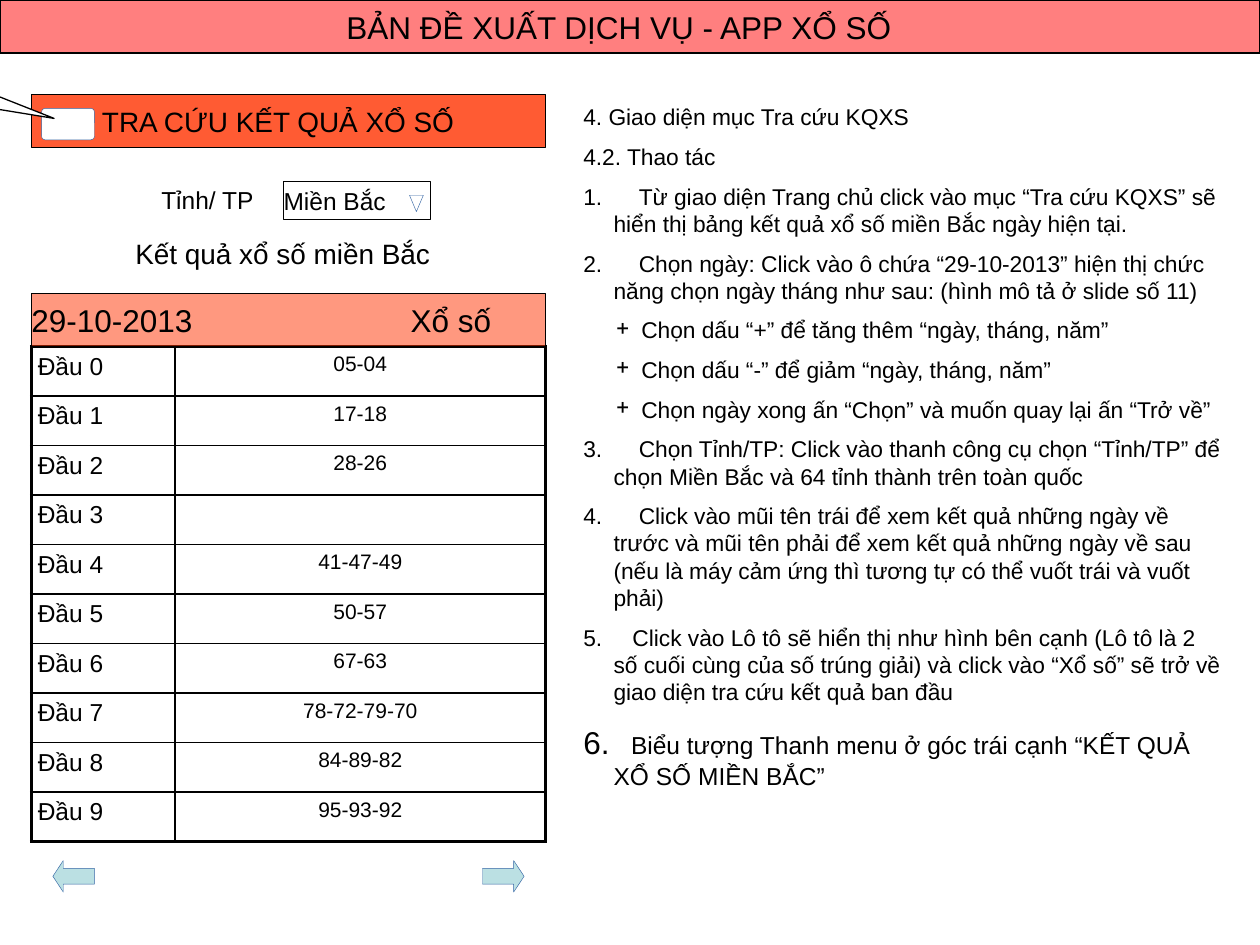
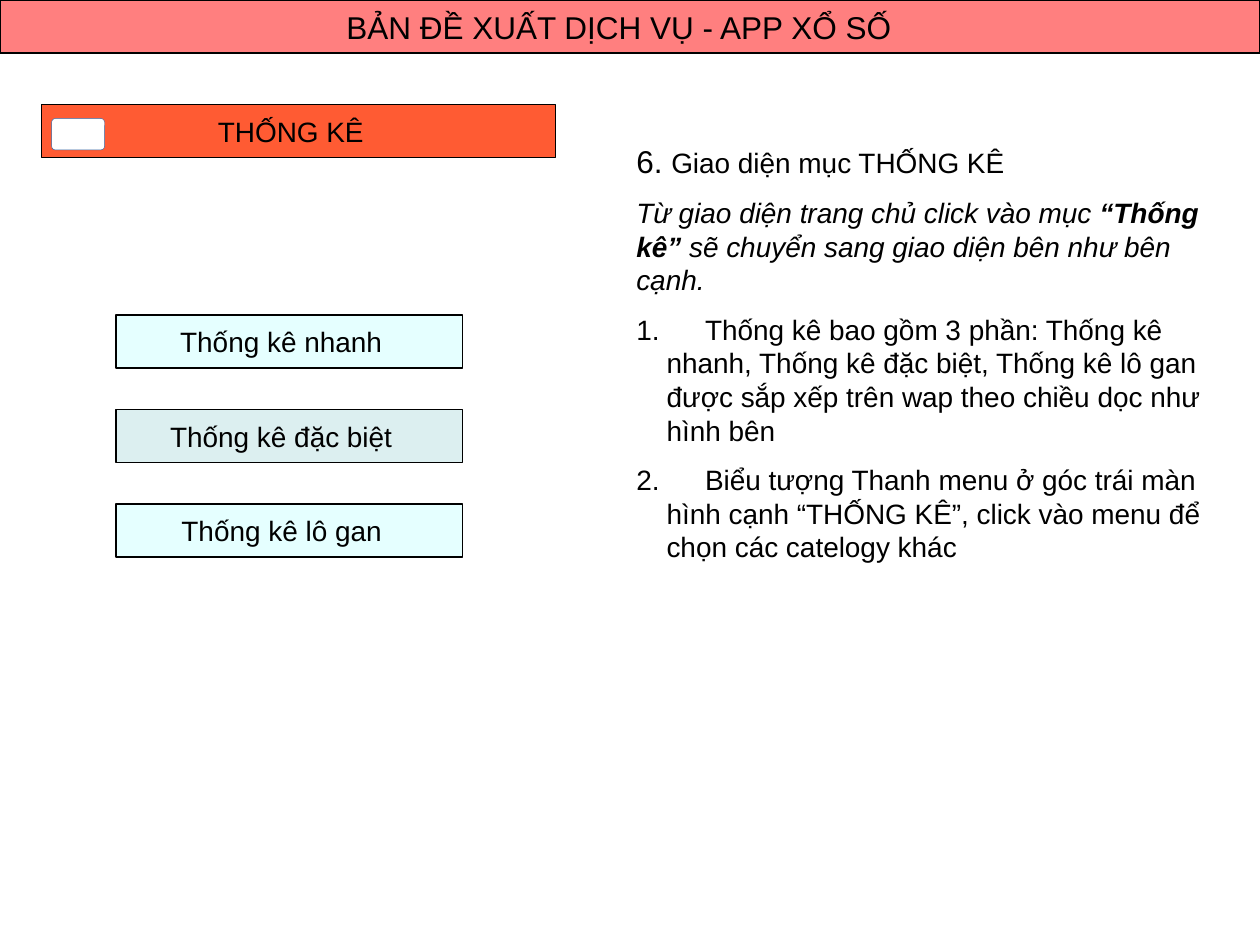
from pptx import Presentation
from pptx.dml.color import RGBColor
from pptx.enum.shapes import MSO_SHAPE as Shape
from pptx.enum.text import MSO_ANCHOR as Anchor, PP_ALIGN as Align
from pptx.oxml.ns import qn
from pptx.util import Inches, Pt
from lxml.etree import SubElement

FONT = "Arial"
BLACK, WHITE, OUTLINE = "000000", "FFFFFF", "3465A4"
RED, ORANGE, TEAL, CYAN = "FF0000", "FF3300", "BBE0E3", "CCFFFF"
TITLE = "BẢN ĐỀ XUẤT DỊCH VỤ - APP XỔ SỐ"
BAND_HEIGHT, PANEL_WIDTH = 0.42, 4.08
HANG = 0.24


def color(value):
    """Turn a hex string into a colour."""
    return RGBColor.from_string(value)


def inches(*values):
    """Turn numbers into lengths."""
    return [Inches(value) for value in values]


def add_bullet(para, left, hang, tag, **attributes):
    """Give a paragraph a hanging bullet or number."""
    props = para._p.get_or_add_pPr()
    props.set("marL", str(Inches(left)))
    props.set("indent", str(-Inches(hang)))
    SubElement(props, qn(tag), attributes)


class Slides:
    """The shared style and the current slide."""

    def __init__(self):
        """Start an empty deck."""
        self.deck = Presentation()
        self.deck.slide_width, self.deck.slide_height = inches(10, 7.5)
        self.page = None

    def new_page(self):
        """Add a slide with the title band."""
        self.page = self.deck.slides.add_slide(self.deck.slide_layouts[6])
        self.shape(Shape.RECTANGLE, (0, 0, 10, BAND_HEIGHT), RED, alpha=50)
        self.label((2.75, 0.02, 4.5, 0.38), TITLE, 18)

    def paint(self, shape, fill, line, width, alpha=100):
        """Set fill, outline and transparency of a shape."""
        shape.shadow.inherit = False
        shape.fill.solid()
        shape.fill.fore_color.rgb = color(fill)
        if alpha < 100:
            solid = shape._element.spPr.find(qn("a:solidFill"))
            SubElement(solid[0], qn("a:alpha"), val=str(alpha * 1000))
        shape.line.color.rgb = color(line)
        shape.line.width = Pt(width)

    def shape(self, kind, area, fill, line=BLACK, width=0.75, alpha=100, adjust=()):
        """Draw a preset shape."""
        shape = self.page.shapes.add_shape(kind, *inches(*area))
        for index, value in enumerate(adjust):
            shape.adjustments[index] = value
        self.paint(shape, fill, line, width, alpha)

    def icon(self, kind, area, fill=WHITE, adjust=()):
        """Draw a small control with a fine blue outline."""
        self.shape(kind, area, fill, OUTLINE, 0.25, adjust=adjust)

    def pointer(self, points):
        """Draw a callout tail that is open at its wide end."""
        start, *rest = [tuple(inches(*point)) for point in points]
        builder = self.page.shapes.build_freeform(*start)
        builder.add_line_segments(rest, close=False)
        self.paint(builder.convert_to_shape(), WHITE, BLACK, 0.75)

    def frame(self, area, margin, wrap=True):
        """Add an empty text box and return its text frame."""
        frame = self.page.shapes.add_textbox(*inches(*area)).text_frame
        frame.word_wrap = wrap
        frame.margin_left = frame.margin_right = Inches(margin)
        frame.margin_top = frame.margin_bottom = Inches(margin)
        return frame

    def style(self, para, size, align=Align.LEFT, before=0):
        """Set font, alignment and space before of a paragraph."""
        para.font.name, para.font.size = FONT, Pt(size)
        para.font.color.rgb = color(BLACK)
        para.alignment, para.space_before = align, Pt(before)

    def label(self, area, text, size, tab=None):
        """Write one line in the middle of its height."""
        frame = self.frame(area, 0, wrap=tab is not None)
        frame.vertical_anchor = Anchor.MIDDLE
        para = frame.paragraphs[0]
        para.text = text
        self.style(para, size)
        if tab:
            stops = SubElement(para._p.get_or_add_pPr(), qn("a:tabLst"))
            SubElement(stops, qn("a:tab"), pos=str(Inches(tab)), algn="l")

    def caption(self, area, text, size, align=Align.LEFT):
        """Write one line from the top of a padded box."""
        para = self.frame(area, 0.05).paragraphs[0]
        para.text = text
        self.style(para, size, align)

    def header(self, left, top, text, text_left):
        """Draw the orange screen header with its menu button."""
        self.shape(Shape.RECTANGLE, (left, top, PANEL_WIDTH, BAND_HEIGHT), ORANGE, alpha=80)
        self.label((text_left, top + 0.04, 2.96, 0.34), text, 16)
        self.icon(Shape.ROUNDED_RECTANGLE, (left + 0.08, top + 0.11, 0.42, 0.25), adjust=[0.12])

    def para(self, frame, size, before):
        """Start the next paragraph of a text frame."""
        first = frame.paragraphs[0]
        para = frame.add_paragraph() if first.runs else first
        self.style(para, size, before=before)
        return para

    def plain(self, frame, text, size, before):
        """Add a plain paragraph."""
        para = self.para(frame, size, before)
        para.add_run().text = text
        return para

    def numbered(self, frame, number, text, size, before, gap, lead_size=None):
        """Add a numbered paragraph whose first line starts a gap (points) later."""
        lead_size = lead_size or size
        para = self.para(frame, size, before)
        add_bullet(para, HANG, HANG, "a:buAutoNum", type="arabicPeriod", startAt=str(number))
        lead = para.add_run()
        lead.text = " "
        lead.font.size = Pt(lead_size)
        spacing = gap - 0.278 * lead_size
        lead.font._element.set("spc", str(round(spacing * 100)))
        para.add_run().text = text

    def table(self, area, widths, rows):
        """Draw a two-column table with a heavy outer border."""
        table = self.page.shapes.add_table(len(rows), len(widths), *inches(*area)).table
        table.first_row = table.horz_banding = False
        for column, width in zip(table.columns, widths):
            column.width = Inches(width)
        for row_index, row in enumerate(rows):
            table.rows[row_index].height = Inches(area[3] / len(rows))
            for col_index, text in enumerate(row):
                cell = table.cell(row_index, col_index)
                outer = {"L": col_index == 0, "R": col_index == len(row) - 1,
                         "T": row_index == 0, "B": row_index == len(rows) - 1}
                self.borders(cell, outer)
                cell.fill.background()
                cell.margin_left = cell.margin_right = Inches(0.05)
                cell.margin_top = cell.margin_bottom = Inches(0.05)
                cell.text = text
                para = cell.text_frame.paragraphs[0]
                if col_index == 0:
                    self.style(para, 14, before=3)
                else:
                    self.style(para, 12, Align.CENTER, 2)

    def borders(self, cell, outer):
        """Draw the four sides of a cell, heavier on the outside."""
        props = cell._tc.get_or_add_tcPr()
        for side, heavy in outer.items():
            line = SubElement(props, qn("a:ln" + side), w=str(Pt(2.25 if heavy else 1)))
            SubElement(SubElement(line, qn("a:solidFill")), qn("a:srgbClr"), val=BLACK)


def lookup_page(slides):
    """Build the slide about looking up results."""
    slides.new_page()
    frame = slides.frame((4.58, 0.77, 5.17, 5.27), 0.05)
    steps = [
        (None, "4. Giao diện mục Tra cứu KQXS"),
        (None, "4.2. Thao tác"),
        (1, "Từ giao diện Trang chủ click vào mục “Tra cứu KQXS” sẽ hiển thị bảng "
            "kết quả xổ số miền Bắc ngày hiện tại."),
        (2, "Chọn ngày: Click vào ô chứa “29-10-2013” hiện thị chức năng chọn ngày "
            "tháng như sau: (hình mô tả ở slide số 11)"),
        ("+", "Chọn dấu “+” để tăng thêm “ngày, tháng, năm”"),
        ("+", "Chọn dấu “-” để giảm “ngày, tháng, năm”"),
        ("+", "Chọn ngày xong ấn “Chọn” và muốn quay lại ấn “Trở về”"),
        (3, "Chọn Tỉnh/TP: Click vào thanh công cụ chọn “Tỉnh/TP” để chọn Miền Bắc "
            "và 64 tỉnh thành trên toàn quốc"),
        (4, "Click vào mũi tên trái để xem kết quả những ngày về trước và mũi tên phải "
            "để xem kết quả những ngày về sau (nếu là máy cảm ứng thì tương tự có thể "
            "vuốt trái và vuốt phải)"),
        (5, "Click vào Lô tô sẽ hiển thị như hình bên cạnh (Lô tô là 2 số cuối cùng của "
            "số trúng giải) và click vào “Xổ số” sẽ trở về giao diện tra cứu kết quả ban đầu"),
    ]
    for mark, text in steps:
        if mark is None:
            slides.plain(frame, text, 13, 7)
        elif mark == "+":
            add_bullet(slides.plain(frame, text, 13, 7), 0.46, 0.2, "a:buChar", char=mark)
        else:
            slides.numbered(frame, mark, text, 13, 7, gap=10.8 if mark == 5 else 14.4)
    slides.numbered(frame, 6, "Biểu tượng Thanh menu ở góc trái cạnh “KẾT QUẢ XỔ SỐ MIỀN BẮC”",
                    14, 10, gap=10, lead_size=18)

    results = ["05-04", "17-18", "28-26", "", "41-47-49", "50-57", "67-63",
               "78-72-79-70", "84-89-82", "95-93-92"]
    rows = [(f"Đầu {digit}", numbers) for digit, numbers in enumerate(results)]
    slides.table((0.25, 2.75, PANEL_WIDTH, 3.93), (1.14, 2.94), rows)
    for kind, left in ((Shape.LEFT_ARROW, 0.42), (Shape.RIGHT_ARROW, 3.83)):
        slides.icon(kind, (left, 6.83, 0.33, 0.25), TEAL, [0.5, 0.33])

    slides.shape(Shape.RECTANGLE, (0.25, 2.33, PANEL_WIDTH, BAND_HEIGHT), ORANGE, alpha=50)
    slides.label((0.25, 2.35, 3.77, 0.38), "29-10-2013\tXổ số", 18, tab=3.01)
    slides.header(0.25, 0.75, "TRA CỨU KẾT QUẢ XỔ SỐ", 0.81)
    slides.pointer([(0, 0.77), (0.43, 0.94), (0, 0.87)])
    slides.caption((0.58, 1.83, 3.33, 0.34), "Kết quả xổ số miền Bắc", 16, Align.CENTER)
    slides.caption((1.23, 1.42, 1.08, 0.32), "Tỉnh/ TP", 14)
    slides.shape(Shape.RECTANGLE, (2.25, 1.44, 1.17, 0.3), WHITE)
    slides.label((2.25, 1.43, 0.92, 0.32), "Miền Bắc", 14)
    slides.icon(Shape.FLOWCHART_MERGE, (3.25, 1.55, 0.11, 0.13))


def statistics_page(slides):
    """Build the slide about statistics."""
    slides.new_page()
    buttons = [("Thống kê nhanh", CYAN, 1.43, 1.72), ("Thống kê đặc biệt", TEAL, 1.35, 1.88),
               ("Thống kê lô gan", CYAN, 1.44, 1.71)]
    for index, (text, fill, left, width) in enumerate(buttons):
        top = 2.5 + 0.75 * index
        slides.shape(Shape.RECTANGLE, (0.92, top, 2.75, BAND_HEIGHT), fill, alpha=50)
        slides.label((left, top + 0.04, width, 0.34), text, 16)

    frame = slides.frame((5, 1.08, 4.58, 3.28), 0.05)
    heading = slides.plain(frame, "6. ", 16, 10)
    heading.runs[0].font.size = Pt(18)
    heading.add_run().text = "Giao diện mục THỐNG KÊ"
    intro = slides.plain(frame, "Từ giao diện trang chủ click vào mục ", 16, 9)
    intro.font.italic = True
    span = intro.add_run()
    span.text = "“Thống kê” "
    span.font.bold = True
    intro.add_run().text = "sẽ chuyển sang giao diện bên như bên cạnh."
    notes = [
        "Thống kê bao gồm 3 phần: Thống kê nhanh, Thống kê đặc biệt, Thống kê lô gan "
        "được sắp xếp trên wap theo chiều dọc như hình bên",
        "Biểu tượng Thanh menu ở góc trái màn hình cạnh “THỐNG KÊ”, click vào menu để "
        "chọn các catelogy khác",
    ]
    for number, text in enumerate(notes, 1):
        slides.numbered(frame, number, text, 16, 9, gap=22)
    slides.header(0.33, 0.83, "THỐNG KÊ", 1.73)


slides = Slides()
lookup_page(slides)
statistics_page(slides)
slides.deck.save("out.pptx")
